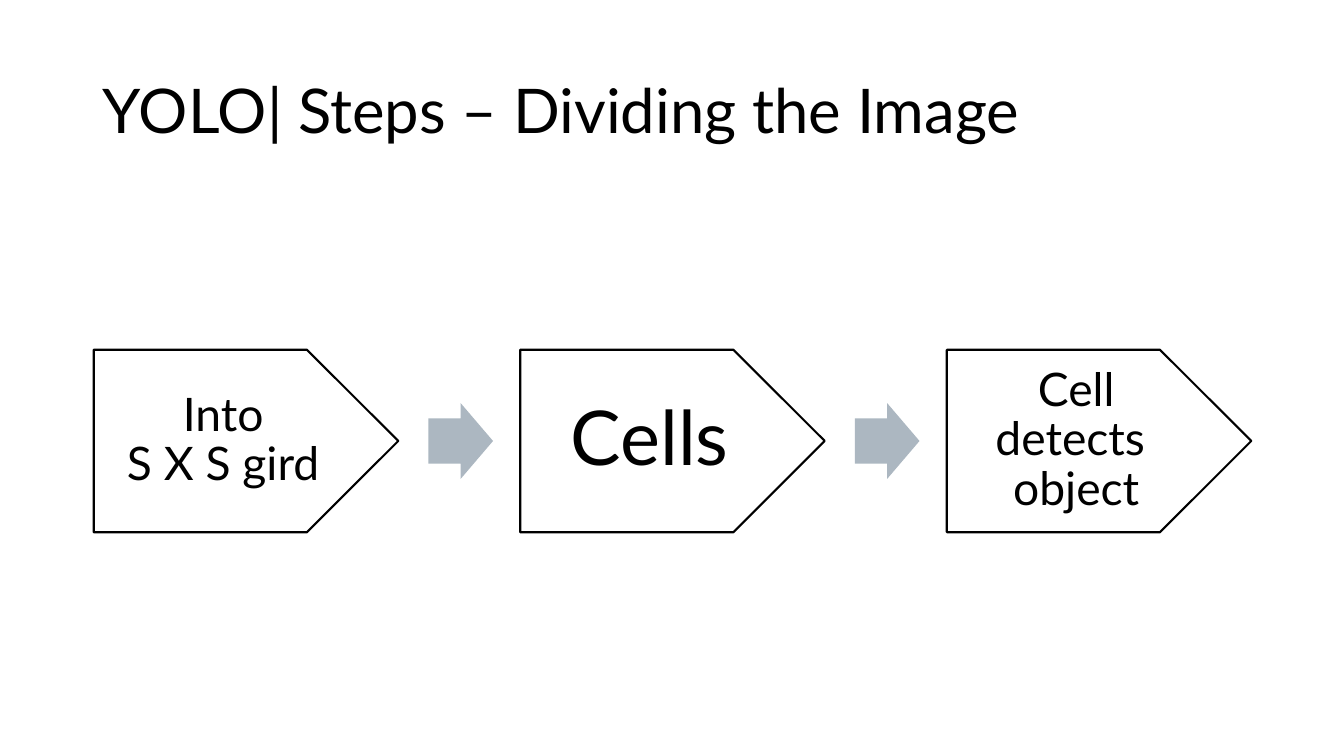
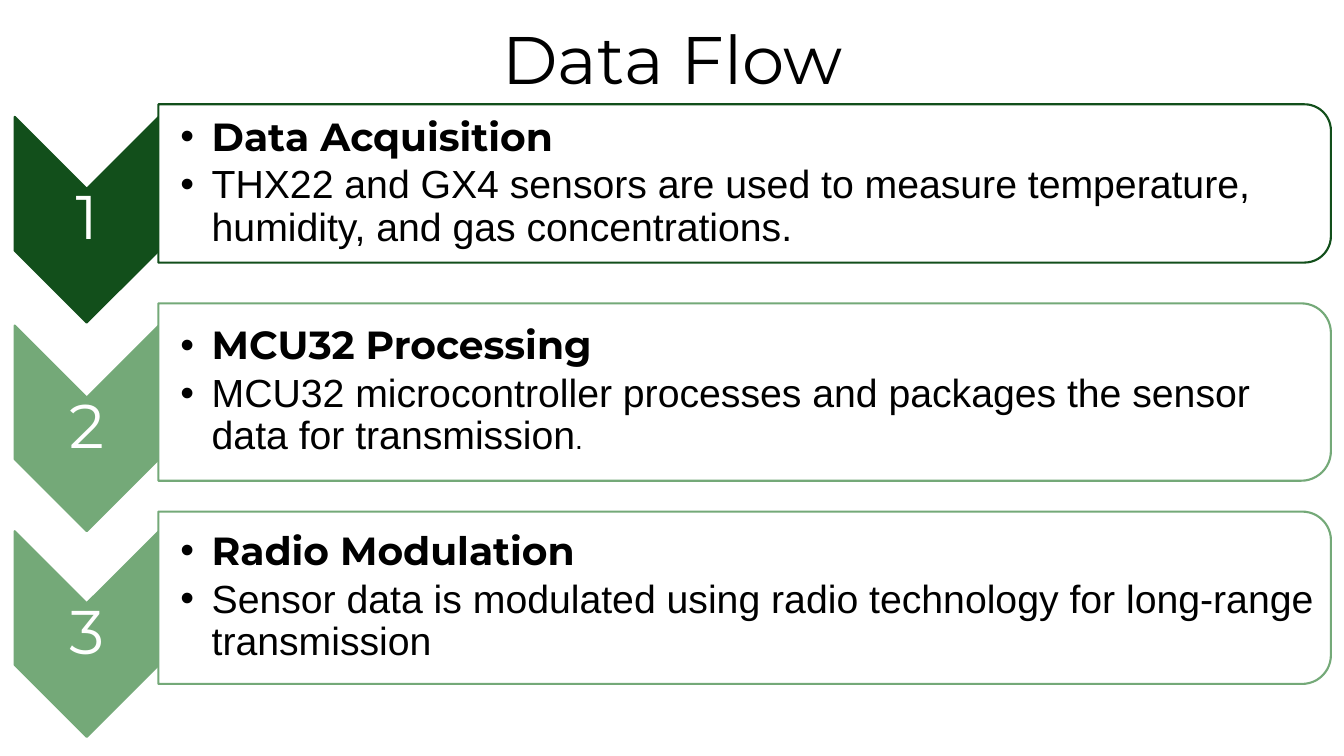
from lxml import etree
from pptx import Presentation
from pptx.dml.color import RGBColor
from pptx.enum.shapes import MSO_SHAPE as SHAPE
from pptx.enum.text import MSO_ANCHOR as ANCHOR, MSO_AUTO_SIZE as AUTO_SIZE, PP_ALIGN as ALIGN
from pptx.oxml.ns import qn
from pptx.util import Pt

PX = 9144  # 100 px to the inch
BLACK = RGBColor(0x00, 0x00, 0x00)
WHITE = RGBColor(0xFF, 0xFF, 0xFF)
ARROW_GREY = RGBColor(0xAC, 0xB7, 0xC1)
DARK_GREEN = RGBColor(0x12, 0x4F, 0x1B)
LIGHT_GREEN = RGBColor(0x74, 0xA9, 0x78)
LATO, MONTSERRAT, ARIAL = "Lato", "Montserrat", "Arial"


def add_shape(slide, preset, left, top, width, height, fill, line=None):
    shape = slide.shapes.add_shape(preset, *(round(v * PX) for v in (left, top, width, height)))
    shape.shadow.inherit = False
    shape.fill.solid()
    shape.fill.fore_color.rgb = fill
    if line is None:
        shape.line.fill.background()
    else:
        shape.line.color.rgb = line
        shape.line.width = Pt(1.5)
    return shape


def format_text(frame, size, font, color=BLACK, align=ALIGN.CENTER, insets=(10, 5, 10, 5)):
    frame.word_wrap = True
    frame.auto_size = AUTO_SIZE.NONE
    frame.vertical_anchor = ANCHOR.MIDDLE
    frame.margin_left, frame.margin_top, frame.margin_right, frame.margin_bottom = (
        v * PX for v in insets)
    for paragraph in frame.paragraphs:
        paragraph.alignment = align
        paragraph.line_spacing = 0.9
        for run in paragraph.runs:
            run.font.size = Pt(size)
            run.font.name = font
            run.font.color.rgb = color


prs = Presentation()
prs.slide_width, prs.slide_height = 1333 * PX, 750 * PX

# Titles
slides = []
for heading, top, height, size, font, align in [
    ("YOLO| Steps – Dividing the Image", 40, 145, 44, LATO, ALIGN.LEFT),
    ("Data Flow", 19, 86, 48, MONTSERRAT, ALIGN.CENTER),
]:
    slide = prs.slides.add_slide(prs.slide_layouts[5])
    title = slide.shapes.title
    title.left, title.top, title.width, title.height = (v * PX for v in (92, top, 1150, height))
    title.text_frame.text = heading
    format_text(title.text_frame, size, font, align=align)
    slides.append(slide)
yolo_slide, flow_slide = slides

# Slide 1: three steps with arrows between them
STEP_LEFT, STEP_PITCH, STEP_TOP, STEP_W, STEP_H = 93, 423, 347, 302, 181
ARROW_OFFSET, ARROW_W, ARROW_H = 332, 64, 75
steps = [("Into\vS X S gird", 33, 14), ("Cells", 54, 23), ("Cell\vdetects \vobject", 33, 14)]
for i, (label, size, inset) in enumerate(steps):
    left = STEP_LEFT + i * STEP_PITCH
    step = add_shape(yolo_slide, SHAPE.PENTAGON, left, STEP_TOP, STEP_W, STEP_H, WHITE, BLACK)
    step.text_frame.text = label
    format_text(step.text_frame, size, LATO, insets=(inset,) * 4)
    if i < len(steps) - 1:
        arrow = add_shape(yolo_slide, SHAPE.RIGHT_ARROW, left + ARROW_OFFSET,
                          STEP_TOP + (STEP_H - ARROW_H) / 2, ARROW_W, ARROW_H, ARROW_GREY)
        arrow.adjustments[0] = 0.6

# Slide 2: numbered chevrons, each with a panel
CHEVRON_MID_X, CHEVRON_LEN, CHEVRON_W = 86, 204, 143
PANEL_LEFT, PANEL_W, PANEL_RISE = 157, 1163, 36
NUMBER_H, PANEL_TEXT_W, INDENT = 61, 1156, 31
stages = [
    (218, 157, DARK_GREEN, "Data Acquisition",
     ["THX22 and GX4 sensors are used to measure temperature, humidity, "
      "and gas concentrations."]),
    (425, 176, LIGHT_GREEN, "MCU32 Processing",
     ["MCU32 microcontroller processes and packages the sensor data for transmission", "."]),
    (629, 171, LIGHT_GREEN, "Radio Modulation",
     ["Sensor data is modulated using radio technology for long-range transmission"]),
]
for number, (mid_y, panel_h, color, heading, detail) in enumerate(stages, 1):
    # Both shapes are turned a quarter, so length and width swap around the centre
    chevron = add_shape(flow_slide, SHAPE.CHEVRON, CHEVRON_MID_X - CHEVRON_LEN / 2,
                        mid_y - CHEVRON_W / 2, CHEVRON_LEN, CHEVRON_W, color, color)
    panel_mid_y = mid_y - PANEL_RISE
    panel = add_shape(flow_slide, SHAPE.ROUND_2_SAME_RECTANGLE,
                      PANEL_LEFT + (PANEL_W - panel_h) / 2, panel_mid_y - PANEL_W / 2,
                      panel_h, PANEL_W, WHITE, color)
    chevron.rotation = panel.rotation = 90

    number_box = flow_slide.shapes.add_textbox(
        *(round(v * PX) for v in (CHEVRON_MID_X - CHEVRON_W / 2, mid_y - NUMBER_H / 2,
                                  CHEVRON_W, NUMBER_H)))
    number_box.text_frame.text = str(number)
    format_text(number_box.text_frame, 44, MONTSERRAT, WHITE, insets=(3, 3, 3, 3))

    panel_text = flow_slide.shapes.add_textbox(
        *(round(v * PX) for v in (PANEL_LEFT, panel_mid_y - panel_h / 2,
                                  PANEL_TEXT_W, panel_h))).text_frame
    panel_text.text = heading
    detail_line = panel_text.add_paragraph()
    for part in detail:
        detail_line.add_run().text = part
    for paragraph in panel_text.paragraphs:
        props = paragraph._p.get_or_add_pPr()
        props.set("marL", str(INDENT * PX))
        props.set("indent", str(-INDENT * PX))
        etree.SubElement(props, qn("a:buFont")).set("typeface", ARIAL)
        etree.SubElement(props, qn("a:buChar")).set("char", "•")
        paragraph.space_after = Pt(4)
    format_text(panel_text, 28, ARIAL, align=ALIGN.LEFT, insets=(22, 2, 2, 2))
    heading_font = panel_text.paragraphs[0].runs[0].font
    heading_font.name = MONTSERRAT
    heading_font.bold = True
    for full_stop in detail_line.runs[1:]:
        full_stop.font.size = Pt(20)

prs.save("out.pptx")
